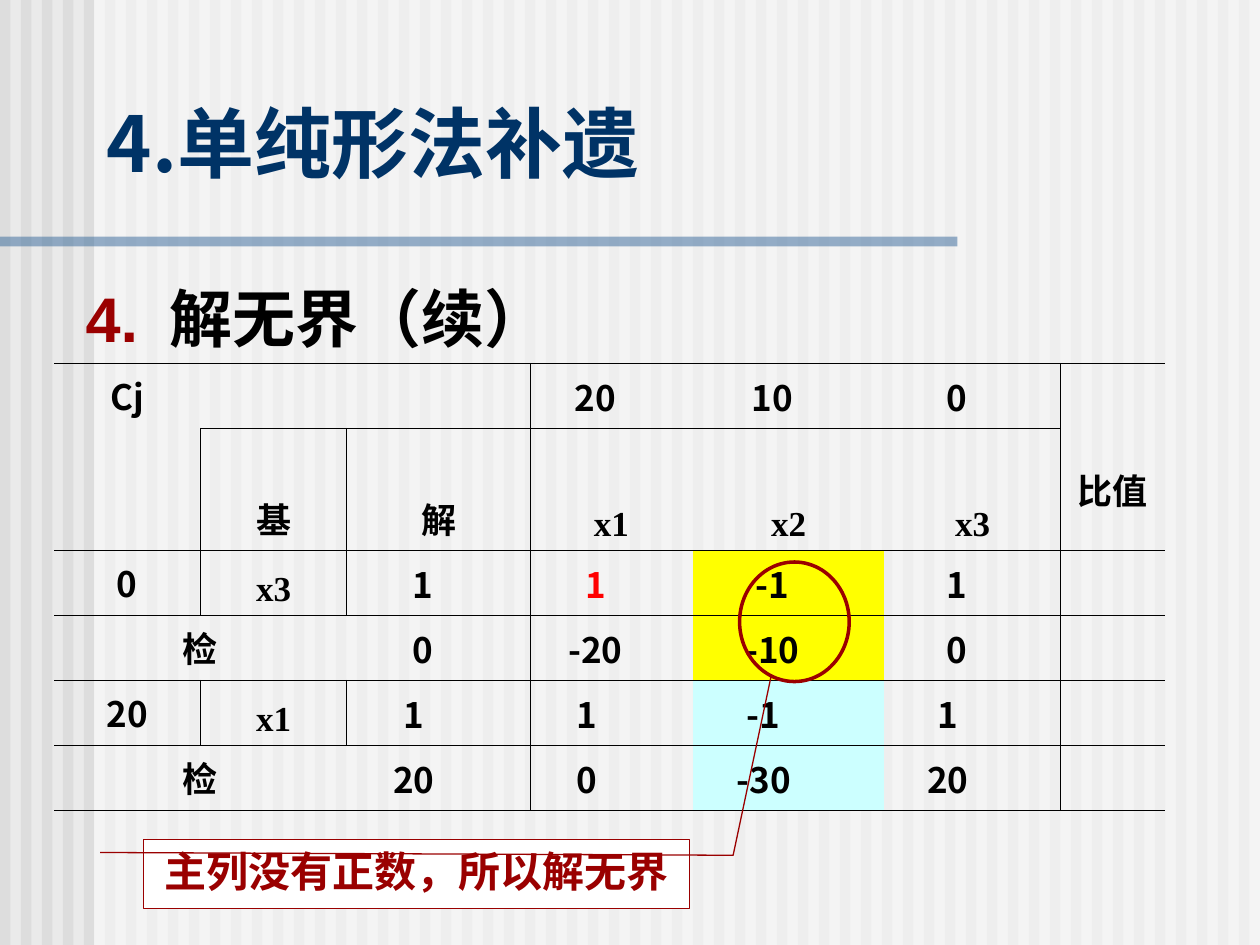
import pptx
import pptx.dml.color
import pptx.enum.shapes
import pptx.enum.text
import pptx.oxml
import pptx.oxml.ns
import pptx.util
from lxml import etree

Cm, Pt = pptx.util.Cm, pptx.util.Pt
RGBColor = pptx.dml.color.RGBColor
SHAPE = pptx.enum.shapes.MSO_SHAPE
ALIGN = pptx.enum.text.PP_ALIGN
ANCHOR = pptx.enum.text.MSO_ANCHOR
qn = pptx.oxml.ns.qn

# Colours and fonts
PAPER = RGBColor(0xEA, 0xEA, 0xEA)
STRIPE = RGBColor(0xDD, 0xDD, 0xDD)
WHITE = RGBColor(0xFF, 0xFF, 0xFF)
BLACK = RGBColor(0, 0, 0)
NAVY = RGBColor(0, 0x33, 0x66)
BLUE = RGBColor(0x33, 0x66, 0x99)
CRIMSON = RGBColor(0x9A, 0, 0)
RED = RGBColor(0xFF, 0, 0)
YELLOW = RGBColor(0xFF, 0xFF, 0)
CYAN = RGBColor(0xCC, 0xFF, 0xFF)
SANS, SERIF = "Noto Sans CJK SC", "Times New Roman"

# Content
TITLE = "4.单纯形法补遗"
TOPIC, TOPIC_NUMBER = "解无界（续）", 4
CONCLUSION = "主列没有正数，所以解无界"
TABLEAU = [
    ["Cj", "", "", "20", "10", "0", ""],
    ["", "基", "解", "x1", "x2", "x3", "比值"],
    ["0", "x3", "1", "1", "-1", "1", ""],
    ["检", "", "0", "-20", "-10", "0", ""],
    ["20", "x1", "1", "1", "-1", "1", ""],
    ["检", "", "20", "0", "-30", "20", ""],
]
COLUMN_WIDTHS = [2.95, 2.95, 3.7, 3.27, 3.87, 3.55, 2.11]
ROW_HEIGHTS = [1.31, 2.46, 1.31, 1.31, 1.31, 1.31]
# Columns with a rule on their left side, row by row
LEFT_RULES = [{3, 6}, {1, 2, 3, 6}, {1, 2, 3, 6}, {2, 3, 6}, {1, 2, 3, 6}, {2, 3, 6}]
OPEN_BELOW = {(0, 0), (0, 6)}
PIVOT = (2, 3)
MAIN_COLUMN = 4
MAIN_COLUMN_FILLS = {2: YELLOW, 3: YELLOW, 4: CYAN, 5: CYAN}
# Extra right margin that shifts the figures of each row
FIGURE_SHIFTS = [0.65, 0, 0.65, 0.65, 1, 1]


def format_text(paragraph, font_name, size, color):
    for run in paragraph.runs:
        run.font.name, run.font.size, run.font.bold = font_name, Pt(size), True
        run.font.color.rgb = color
        east_asian = etree.SubElement(run.font._element, qn("a:ea"))
        east_asian.set("typeface", font_name)


def place(part, left, top, width, height):
    part.left, part.top, part.width, part.height = map(Cm, (left, top, width, height))


def add_block(shapes, kind, box, fill=None, line=None, line_width=1, opacity=None):
    block = shapes.add_shape(kind, *box)
    block.shadow.inherit = False
    if fill is None:
        block.fill.background()
    else:
        block.fill.solid()
        block.fill.fore_color.rgb = fill
    if opacity:
        color = block._element.spPr.find(qn("a:solidFill"))[0]
        etree.SubElement(color, qn("a:alpha")).set("val", str(opacity * 1000))
    if line is None:
        block.line.fill.background()
    else:
        block.line.color.rgb, block.line.width = line, Pt(line_width)
    return block


def set_borders(cell, ruled_sides):
    properties = cell._tc.get_or_add_tcPr()
    for side in "LRTB":
        border = etree.SubElement(properties, qn("a:ln" + side))
        if side in ruled_sides:
            border.set("w", str(Pt(0.45)))
            fill = etree.SubElement(border, qn("a:solidFill"))
            etree.SubElement(fill, qn("a:srgbClr")).set("val", str(BLACK))
        else:
            etree.SubElement(border, qn("a:noFill"))


def ruled_sides(row, col):
    sides = set()
    if col in LEFT_RULES[row]:
        sides.add("L")
    if col + 1 in LEFT_RULES[row]:
        sides.add("R")
    if row == 0 or (row - 1, col) not in OPEN_BELOW:
        sides.add("T")
    if (row, col) not in OPEN_BELOW:
        sides.add("B")
    return sides


presentation = pptx.Presentation()
presentation.slide_width, presentation.slide_height = Cm(25.4), Cm(19.05)
slide = presentation.slides.add_slide(presentation.slide_layouts[1])
slide.background.fill.solid()
slide.background.fill.fore_color.rgb = PAPER

# Striped backdrop behind the placeholders
backdrop = slide.shapes.add_group_shape()
slide.shapes._spTree.insert(2, backdrop._element)
full_height = presentation.slide_height
pitch = presentation.slide_width / 60
for index in range(60):
    stripe_box = (int(index * pitch), 0, int(pitch / 2), full_height)
    add_block(backdrop.shapes, SHAPE.RECTANGLE, stripe_box, STRIPE)
veil_box = (Cm(1.9), 0, Cm(23.5), full_height)
add_block(backdrop.shapes, SHAPE.RECTANGLE, veil_box, WHITE, opacity=50)
title_rule_box = (0, Cm(4.77), Cm(19.3), Cm(0.2))
add_block(backdrop.shapes, SHAPE.RECTANGLE, title_rule_box, BLUE, opacity=50)

# Title
title = slide.shapes.title
place(title, 1.9, 1.27, 21.59, 3.18)
title.text_frame.text = TITLE
title.text_frame.vertical_anchor = ANCHOR.MIDDLE
heading = title.text_frame.paragraphs[0]
heading.alignment = ALIGN.LEFT
format_text(heading, SANS, 44, NAVY)

# Numbered topic
body = slide.placeholders[1]
place(body, 1.47, 5.51, 21.59, 12.27)
body.text_frame.text = TOPIC
body.text_frame.auto_size = pptx.enum.text.MSO_AUTO_SIZE.NONE
topic = body.text_frame.paragraphs[0]
topic.alignment, topic.space_before = ALIGN.JUSTIFY, Pt(9)
format_text(topic, "Arial", 36, BLACK)
numbering = topic._p.get_or_add_pPr()
numbering.set("marL", str(Cm(1.7)))
numbering.set("indent", str(-Cm(1.7)))
number_color = etree.SubElement(numbering, qn("a:buClr"))
etree.SubElement(number_color, qn("a:srgbClr")).set("val", str(CRIMSON))
etree.SubElement(numbering, qn("a:buFont")).set("typeface", SANS)
number = etree.SubElement(numbering, qn("a:buAutoNum"))
number.set("type", "arabicPeriod")
number.set("startAt", str(TOPIC_NUMBER))

# Simplex tableau
tableau = slide.shapes.add_table(
    len(ROW_HEIGHTS), len(COLUMN_WIDTHS), Cm(1.09), Cm(7.32),
    Cm(sum(COLUMN_WIDTHS)), Cm(sum(ROW_HEIGHTS))).table
tableau.first_row = tableau.horz_banding = False
for column, width in zip(tableau.columns, COLUMN_WIDTHS):
    column.width = Cm(width)
for table_row, height in zip(tableau.rows, ROW_HEIGHTS):
    table_row.height = Cm(height)
for row, entries in enumerate(TABLEAU):
    for col, entry in enumerate(entries):
        cell = tableau.cell(row, col)
        set_borders(cell, ruled_sides(row, col))
        if col == MAIN_COLUMN and row in MAIN_COLUMN_FILLS:
            cell.fill.solid()
            cell.fill.fore_color.rgb = MAIN_COLUMN_FILLS[row]
        else:
            cell.fill.background()
        cell.vertical_anchor = ANCHOR.MIDDLE if col in (0, 6) else ANCHOR.BOTTOM
        if not entry:
            continue
        if 2 <= col <= 5:
            cell.margin_right = Cm(0.25 + FIGURE_SHIFTS[row])
        cell.text_frame.text = entry
        value = cell.text_frame.paragraphs[0]
        value.alignment = ALIGN.CENTER
        format_text(value, SERIF if entry.startswith("x") else SANS, 20,
                    RED if (row, col) == PIVOT else BLACK)
    if entries[0] == "检":
        tableau.cell(row, 0).merge(tableau.cell(row, 1))

# Ring around the main column and the conclusion that points to it
ring_box = (Cm(14.91), Cm(11.33), Cm(2.21), Cm(2.41))
add_block(slide.shapes, SHAPE.OVAL, ring_box, line=CRIMSON, line_width=2)
conclusion_box = (Cm(2.9), Cm(16.92), Cm(11), Cm(1.4))
conclusion = add_block(slide.shapes, SHAPE.LINE_CALLOUT_2, conclusion_box,
                       WHITE, CRIMSON, 0.75)
for index, ratio in enumerate([0.19, -0.08, 0.23, 1.08, -2.36, 1.15]):
    conclusion.adjustments[index] = ratio
conclusion.text_frame.text = CONCLUSION
conclusion.text_frame.word_wrap = True
conclusion.text_frame.vertical_anchor = ANCHOR.TOP
verdict = conclusion.text_frame.paragraphs[0]
verdict.alignment = ALIGN.CENTER
format_text(verdict, "DejaVu Sans", 24, CRIMSON)

presentation.save("out.pptx")
